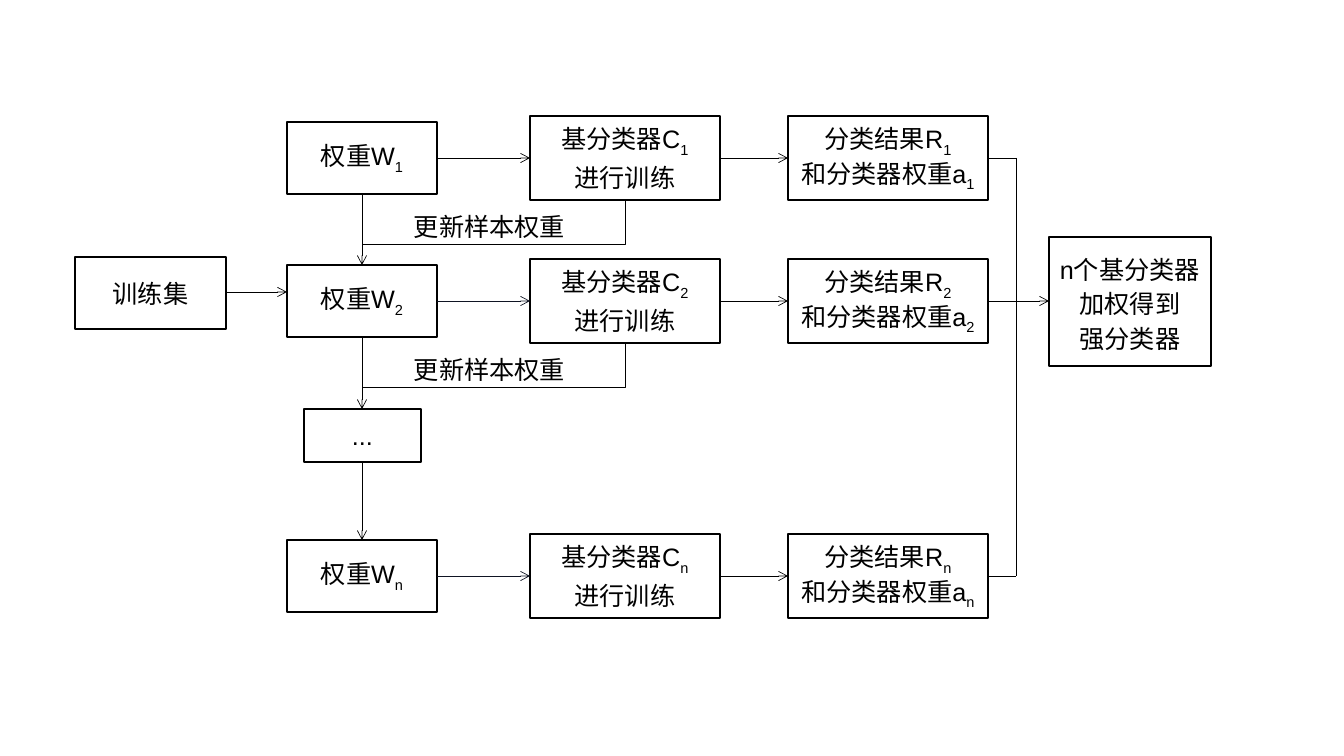
from lxml.etree import SubElement
from pptx import Presentation
from pptx.dml.color import RGBColor
from pptx.enum.shapes import MSO_CONNECTOR as LINK, MSO_SHAPE as SHAPE
from pptx.enum.text import MSO_ANCHOR as ANCHOR, PP_ALIGN as ALIGN
from pptx.oxml.ns import qn
from pptx.util import Emu, Pt

BLACK = RGBColor(0x00, 0x00, 0x00)
INK = RGBColor(0x0F, 0x14, 0x23)
WHITE = RGBColor(0xFF, 0xFF, 0xFF)
PX = 914400 / 100.8

# Content: a line is a list of (text, subscript) pairs
TRAINING_SET = "训练集"
DOTS = "..."
UPDATE = "更新样本权重"
STRONG = ["n个基分类器加权得到", "强分类器"]
# Subscript, row centre, colour of the arrow leaving the weight
ROUNDS = [("1", 158, BLACK), ("2", 301, INK), ("n", 576, INK)]
# Stage: left, width, height, fixed line spacing, lines
STAGES = [
    (287, 150, 72, None, [("权重W", True)]),
    (530, 190, 84, 24.6, [("基分类器C", True), ("进行训练", False)]),
    (788, 200, 84, 24.6, [("分类结果R", True), ("和分类器权重a", True)]),
]
WEIGHT_X = 362
CLASSIFIER_X = 625
COLLECT_X = 1016
DOTS_BOX = (304, 409, 117, 53)
TRAINING_BOX = (75, 257, 151, 72)
STRONG_BOX = (1049, 237, 162, 129)
FONT = {"name": "Arial", "size": Pt(18)}

deck = Presentation()
deck.slide_width, deck.slide_height = Emu(round(1344 * PX)), Emu(round(756 * PX))
slide = deck.slides.add_slide(deck.slide_layouts[6])
shapes = slide.shapes


def px(*lengths):
    return [Emu(round(length * PX)) for length in lengths]


def write(frame, lines, subscript, align, spacing=None):
    for number, (text, numbered) in enumerate(lines):
        line = frame.paragraphs[0] if number == 0 else frame.add_paragraph()
        line.alignment = align
        if spacing:
            line.line_spacing = Pt(spacing)
        for words, lowered in [(text, False)] + [(subscript, True)] * numbered:
            run = line.add_run()
            run.text = words
            for name, value in FONT.items():
                setattr(run.font, name, value)
            run.font.color.rgb = BLACK
            if lowered:
                run._r.get_or_add_rPr().set("baseline", "-25000")


def box(place, lines, subscript="", spacing=None, wrap=False):
    rect = shapes.add_shape(SHAPE.RECTANGLE, *px(*place))
    rect.shadow.inherit = False
    rect.fill.solid()
    rect.fill.fore_color.rgb = WHITE
    rect.line.color.rgb = BLACK
    rect.line.width = Pt(1)
    rect.text_frame.word_wrap = wrap
    rect.text_frame.vertical_anchor = ANCHOR.MIDDLE
    write(rect.text_frame, lines, subscript, ALIGN.CENTER, spacing)


def link(x1, y1, x2, y2, color=BLACK, arrow=True, kind=LINK.STRAIGHT):
    line = shapes.add_connector(kind, *px(x1, y1, x2, y2))
    line.line.color.rgb = color
    line.line.width = Pt(0.5)
    if arrow:
        SubElement(line.line._get_or_add_ln(), qn("a:tailEnd"), type="arrow")
    SubElement(line._element.spPr, qn("a:effectLst"))
    return line


def feedback(top, drop=44):
    """Runs down from a classifier, then left to the weight column."""
    span = CLASSIFIER_X - WEIGHT_X
    mid_x, mid_y = (CLASSIFIER_X + WEIGHT_X) / 2, top + drop / 2
    bend = link(mid_x - drop / 2, mid_y - span / 2, mid_x + drop / 2, mid_y + span / 2,
                arrow=False, kind=LINK.ELBOW)
    bend._element.spPr.find(qn("a:prstGeom")).set("prst", "bentConnector2")
    bend._element.spPr.find(qn("a:xfrm")).set("rot", "5400000")
    label = shapes.add_textbox(*px(404, top + 6, 198, 40))
    label.text_frame.word_wrap = True
    write(label.text_frame, [(UPDATE, False)], "", ALIGN.LEFT)


# Training set
box(TRAINING_BOX, [(TRAINING_SET, False)])
link(226, 292, 287, 292)

# Rounds: weight, classifier, result
for subscript, middle, color in ROUNDS:
    for left, width, height, spacing, lines in STAGES:
        box((left, middle - height / 2, width, height), lines, subscript, spacing)
    for start, end, shade in zip(STAGES, STAGES[1:], (color, BLACK)):
        link(start[0] + start[1], middle, end[0], middle, shade)

# Weight column
box(DOTS_BOX, [(DOTS, False)])
dots_top, dots_bottom = DOTS_BOX[1], DOTS_BOX[1] + DOTS_BOX[3]
first, second, last = [middle for _, middle, _ in ROUNDS]
for start, end in [(first + 36, second - 36), (second + 36, dots_top),
                   (dots_bottom, last - 36)]:
    link(WEIGHT_X, start, WEIGHT_X, end)
for middle in (first, second):
    feedback(middle + 42)

# Results gathered into the strong classifier
for middle in (first, last):
    link(988, middle, COLLECT_X, middle, arrow=False)
link(COLLECT_X, first, COLLECT_X, last, arrow=False)
box(STRONG_BOX, [(text, False) for text in STRONG], spacing=24.6, wrap=True)
link(988, second, STRONG_BOX[0], second)

deck.save("out.pptx")
